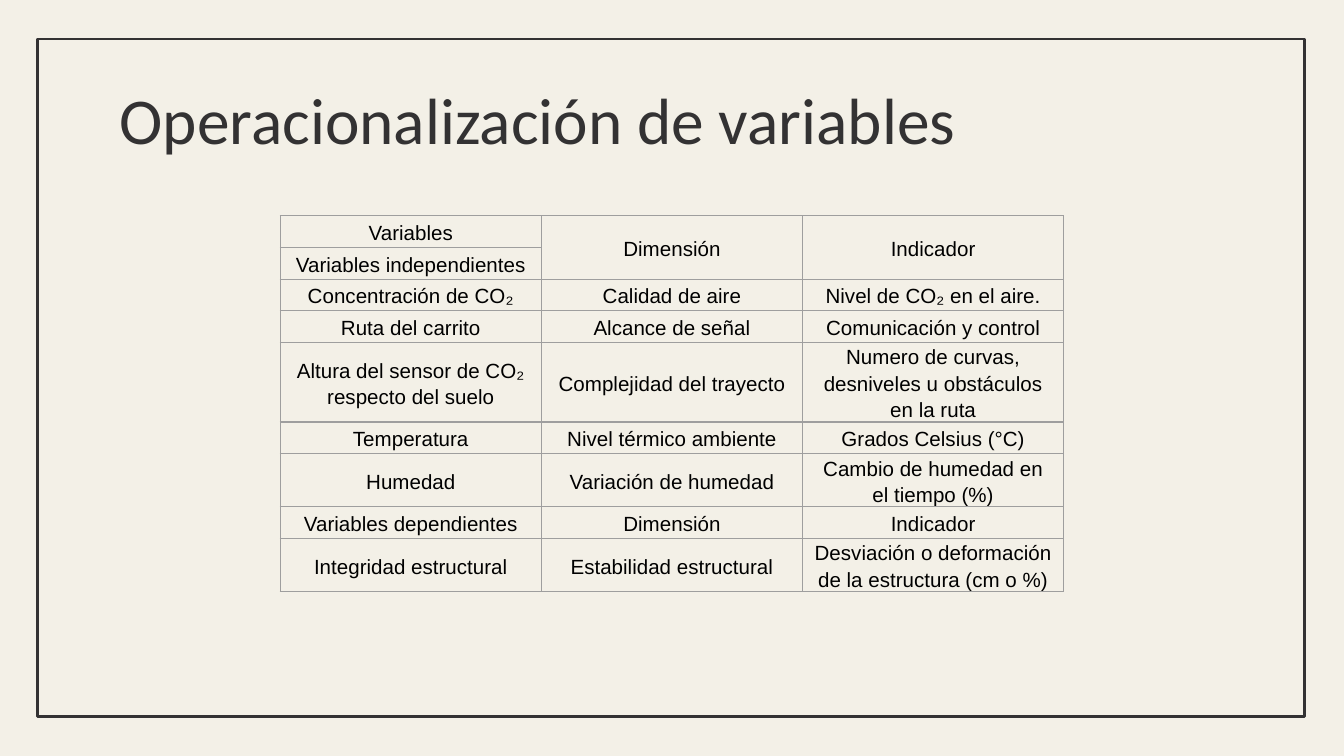
import dataclasses

import pptx
import pptx.dml.color
import pptx.enum.shapes
import pptx.enum.text
import pptx.oxml
import pptx.oxml.ns
import pptx.util


@dataclasses.dataclass(frozen=True)
class Theme:
    background: str = "F3F0E7"
    ink: str = "333233"
    body: str = "000000"
    border: str = "9E9E9E"
    title_font: str = "Calibri"
    body_font: str = "Arial"
    title_size: int = 35
    body_size: int = 11
    frame_width: float = 1.5
    border_width: float = 0.75


class Deck:
    COLUMNS = 100
    ROWS = 56.25

    def __init__(self, theme):
        self.theme = theme
        self.prs = pptx.Presentation()
        self.prs.slide_width = pptx.util.Inches(10)
        self.prs.slide_height = self.prs.slide_width * 9 // 16
        self.s = None

    def color(self, value):
        return pptx.dml.color.RGBColor.from_string(value)

    def box(self, column, row, columns, rows):
        x = self.prs.slide_width / self.COLUMNS
        y = self.prs.slide_height / self.ROWS
        return [round(v) for v in (column * x, row * y, columns * x, rows * y)]

    def add_slide(self):
        self.s = self.prs.slides.add_slide(self.prs.slide_layouts[5])
        fill = self.s.background.fill
        fill.solid()
        fill.fore_color.rgb = self.color(self.theme.background)

    def add_run(self, p, text, font, size, color):
        r = p.add_run()
        r.text = text
        r.font.name = font
        r.font.size = pptx.util.Pt(size)
        r.font.color.rgb = self.color(color)

    def add_frame(self, *place):
        sp = self.s.shapes.add_shape(
            pptx.enum.shapes.MSO_SHAPE.RECTANGLE, *self.box(*place))
        sp.shadow.inherit = False
        sp.fill.background()
        sp.line.color.rgb = self.color(self.theme.ink)
        sp.line.width = pptx.util.Pt(self.theme.frame_width)

    def set_title(self, text, *place):
        sp = self.s.shapes.title
        sp.left, sp.top, sp.width, sp.height = self.box(*place)
        tf = sp.text_frame
        tf.word_wrap = True
        tf.auto_size = pptx.enum.text.MSO_AUTO_SIZE.NONE
        tf.vertical_anchor = pptx.enum.text.MSO_ANCHOR.TOP
        inset = pptx.util.Inches(0.1)
        tf.margin_left = tf.margin_top = inset
        tf.margin_right = tf.margin_bottom = inset
        p = tf.paragraphs[0]
        p.alignment = pptx.enum.text.PP_ALIGN.LEFT
        self.add_run(p, text, self.theme.title_font, self.theme.title_size,
                     self.theme.ink)

    def set_borders(self, cell):
        properties = cell._tc.get_or_add_tcPr()
        width = pptx.util.Pt(self.theme.border_width)
        for side in "LRTB":
            properties.append(pptx.oxml.parse_xml(
                f'<a:ln{side} {pptx.oxml.ns.nsdecls("a")} w="{width}">'
                f'<a:solidFill><a:srgbClr val="{self.theme.border}"/>'
                f'</a:solidFill></a:ln{side}>'))

    def fill_cell(self, cell, text):
        self.set_borders(cell)
        cell.fill.background()
        cell.vertical_anchor = pptx.enum.text.MSO_ANCHOR.MIDDLE
        cell.margin_left = cell.margin_right = pptx.util.Pt(5.4)
        cell.margin_top = cell.margin_bottom = 0
        p = cell.text_frame.paragraphs[0]
        p.alignment = pptx.enum.text.PP_ALIGN.CENTER
        p.line_spacing = 1.16
        p.space_after = pptx.util.Pt(8)
        if text:
            self.add_run(p, text, self.theme.body_font, self.theme.body_size,
                         self.theme.body)

    def add_table(self, rows, column, row, columns, row_height, merges):
        place = self.box(column, row, columns, row_height * len(rows))
        table = self.s.shapes.add_table(len(rows), len(rows[0]), *place).table
        table.first_row = table.horz_banding = False
        for i, texts in enumerate(rows):
            for j, text in enumerate(texts):
                self.fill_cell(table.cell(i, j), text)
        for start, end in merges:
            table.cell(*start).merge(table.cell(*end))


VARIABLES = [
    ("Variables", "Dimensión", "Indicador"),
    ("Variables independientes", "", ""),
    ("Concentración de CO₂", "Calidad de aire", "Nivel de CO₂ en el aire."),
    ("Ruta del carrito", "Alcance de señal", "Comunicación y control"),
    ("Altura del sensor de CO₂ respecto del suelo", "Complejidad del trayecto",
     "Numero de curvas, desniveles u obstáculos en la ruta"),
    ("Temperatura", "Nivel térmico ambiente", "Grados Celsius (°C)"),
    ("Humedad", "Variación de humedad", "Cambio de humedad en el tiempo (%)"),
    ("Variables dependientes", "Dimensión", "Indicador"),
    ("Integridad estructural", "Estabilidad estructural",
     "Desviación o deformación de la estructura (cm o %)"),
]


def main():
    deck = Deck(Theme())
    deck.add_slide()
    deck.add_frame(2.8, 2.9, 94.3, 50.4)
    deck.set_title("Operacionalización de variables", 7.9, 4.9, 84.3, 6.3)
    deck.add_table(VARIABLES, 20.85, 16.05, 58.3, 2.36,
                   merges=[((0, j), (1, j)) for j in (1, 2)])
    deck.prs.save("out.pptx")


if __name__ == "__main__":
    main()
